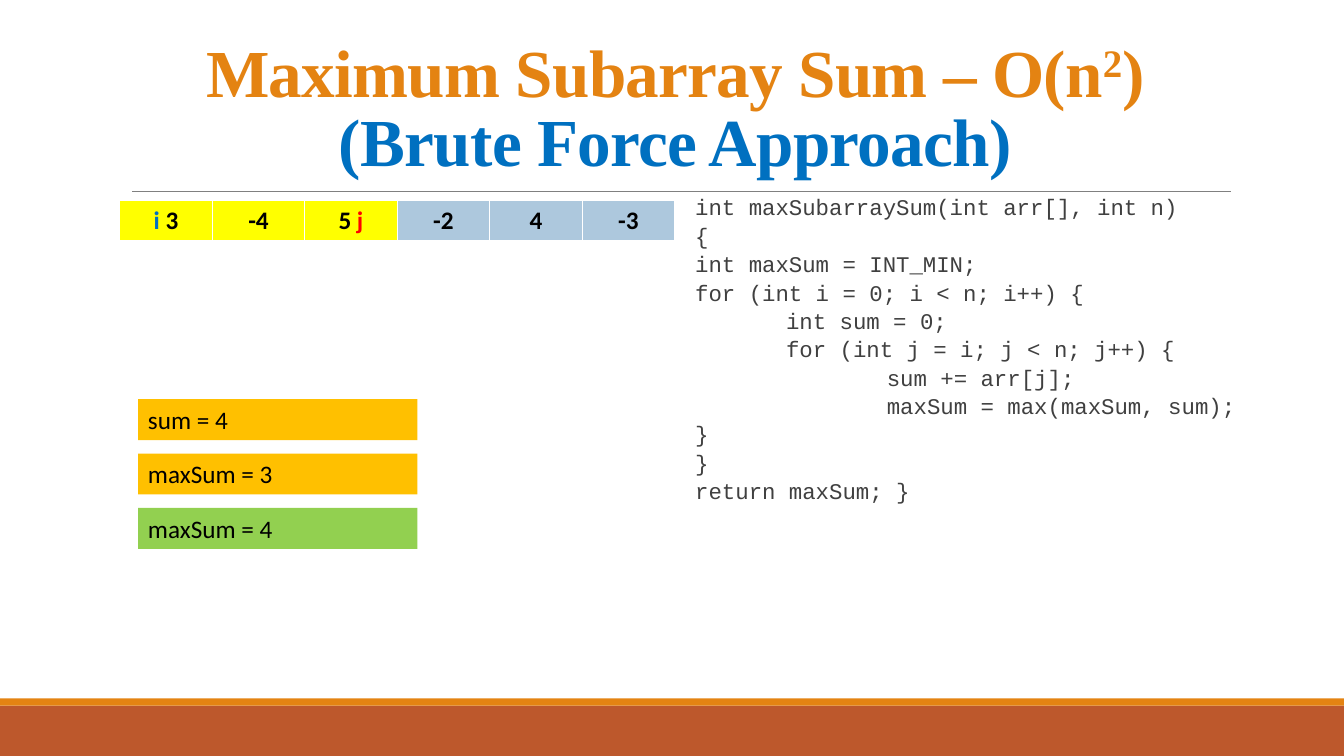
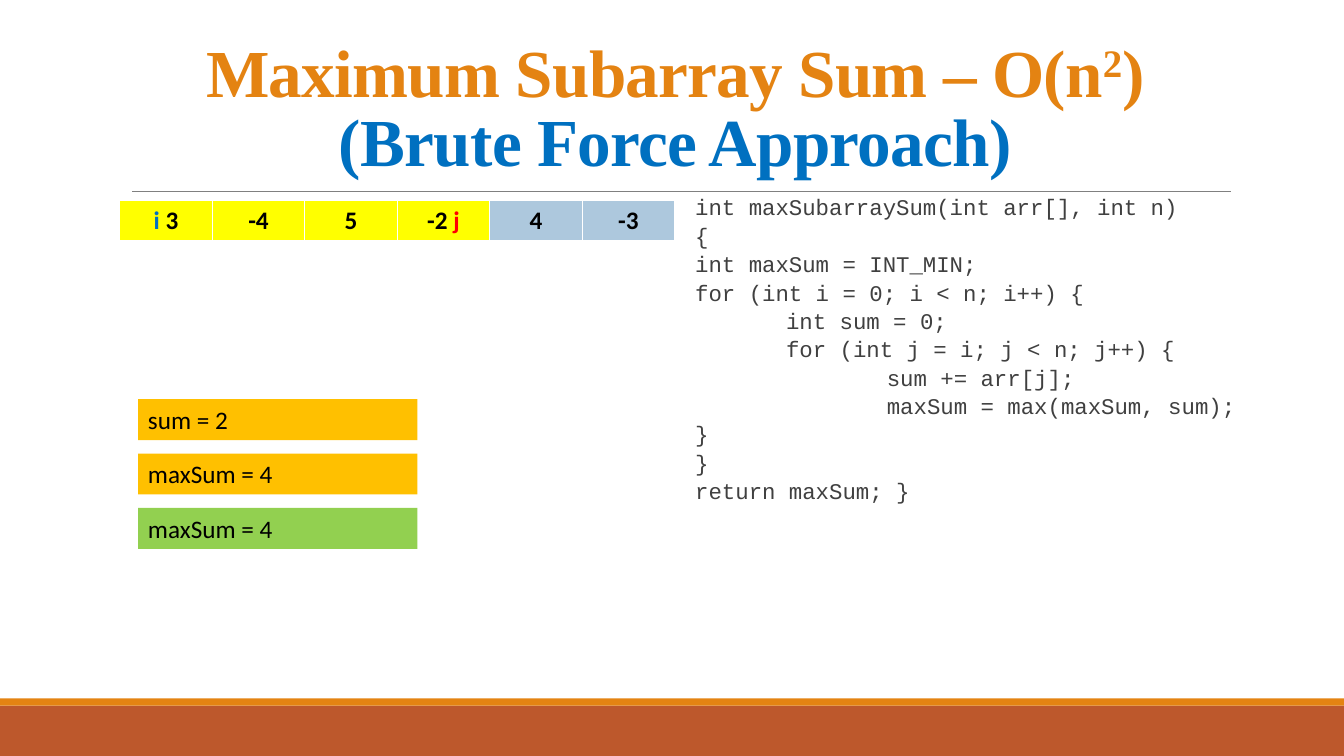
"""Builds two slides that trace the brute force maximum subarray sum."""
import pptx
import pptx.dml.color
import pptx.enum.shapes
import pptx.enum.text
import pptx.oxml
import pptx.oxml.ns
import pptx.util
from lxml import etree

Cm = pptx.util.Cm
Pt = pptx.util.Pt
qn = pptx.oxml.ns.qn
PP_ALIGN = pptx.enum.text.PP_ALIGN
MSO_ANCHOR = pptx.enum.text.MSO_ANCHOR

ORANGE, RUST, BLUE, RED = "E48312", "BD582C", "0070C0", "FF0000"
YELLOW, PALE_BLUE, AMBER, GREEN = "FFFF00", "ADC8DD", "FFC000", "92D050"
BLACK, DARK_GREY, GREY, WHITE = "000000", "404040", "808080", "FFFFFF"

SLIDE_WIDTH, SLIDE_HEIGHT = Cm(33.87), Cm(19.05)
CELL_WIDTH, CELL_HEIGHT = Cm(2.33), Cm(1.03)
BORDERS = {"a:lnL": 1, "a:lnR": 1, "a:lnT": 1, "a:lnB": 3}
TAB_STOPS = [Cm(2.29), Cm(4.83)]

ARRAY = [3, -4, 5, -2, 4, -3]
STEPS = [
    {"j": 2, "sum": 4, "before": 3, "after": 4},
    {"j": 3, "sum": 2, "before": 4, "after": 4},
]
CODE = """int maxSubarraySum(int arr[], int n)
{
int maxSum = INT_MIN;
for (int i = 0; i < n; i++) {
\tint sum = 0;
\tfor (int j = i; j < n; j++) {
\t\tsum += arr[j];
\t\tmaxSum = max(maxSum, sum);
}
}
return maxSum; }"""


def rgb(value):
    return pptx.dml.color.RGBColor.from_string(value)


def add_block(slide, left, top, width, height, fill):
    block = slide.shapes.add_shape(
        pptx.enum.shapes.MSO_SHAPE.RECTANGLE, left, top, width, height)
    block.shadow.inherit = False
    block.fill.solid()
    block.fill.fore_color.rgb = rgb(fill)
    block.line.fill.background()
    return block


deck = pptx.Presentation()
deck.slide_width, deck.slide_height = SLIDE_WIDTH, SLIDE_HEIGHT

for step in STEPS:
    slide = deck.slides.add_slide(deck.slide_layouts[6])

    add_block(slide, 0, Cm(17.78), SLIDE_WIDTH, Cm(1.27), RUST)
    add_block(slide, 0, Cm(17.6), SLIDE_WIDTH, Cm(0.18), ORANGE)
    title_rule = slide.shapes.add_connector(
        pptx.enum.shapes.MSO_CONNECTOR.STRAIGHT, Cm(3.33), Cm(4.83), Cm(31.01), Cm(4.83))
    title_rule.line.color.rgb = rgb(GREY)
    title_rule.line.width = Pt(0.5)
    etree.SubElement(title_rule._element.spPr, qn("a:effectLst"))

    title = slide.shapes.add_textbox(Cm(3.05), Cm(0.79), Cm(27.94), Cm(4.04)).text_frame
    title.word_wrap = True
    title.vertical_anchor = MSO_ANCHOR.MIDDLE
    heading = title.paragraphs[0]
    heading.alignment = PP_ALIGN.CENTER
    heading.line_spacing = 0.85
    heading.font.name = "Times New Roman"
    heading.font.size = Pt(48)
    heading.font.bold = True
    for text, color, baseline in [
        ("Maximum Subarray Sum – O(n", ORANGE, 0),
        ("2", ORANGE, 30000),
        (")", ORANGE, 0),
        ("(Brute Force Approach)", BLUE, 0),
    ]:
        if color == BLUE:
            heading.add_line_break()
        run = heading.add_run()
        run.text = text
        run.font.color.rgb = rgb(color)
        run.font._element.set("spc", "-50")
        if baseline:
            run.font._element.set("baseline", str(baseline))

    array = slide.shapes.add_table(
        1, len(ARRAY), Cm(3.02), Cm(5.06), CELL_WIDTH * len(ARRAY), CELL_HEIGHT).table
    array.first_row = False
    array.horz_banding = False
    array.rows[0].height = CELL_HEIGHT
    for index, number in enumerate(ARRAY):
        array.columns[index].width = CELL_WIDTH
        cell = array.cell(0, index)
        cell.vertical_anchor = MSO_ANCHOR.MIDDLE
        for tag, points in BORDERS.items():
            border = etree.SubElement(
                cell._tc.get_or_add_tcPr(), qn(tag), w=str(Pt(points)))
            border_fill = etree.SubElement(border, qn("a:solidFill"))
            etree.SubElement(border_fill, qn("a:srgbClr"), val=WHITE)
        cell.fill.solid()
        cell.fill.fore_color.rgb = rgb(YELLOW if index <= step["j"] else PALE_BLUE)

        entry = cell.text_frame.paragraphs[0]
        entry.alignment = PP_ALIGN.CENTER
        entry.font.name = "Calibri"
        entry.font.size = Pt(18)
        entry.font.bold = True
        parts = [(str(number), BLACK)]
        if index == 0:
            parts.insert(0, ("i ", BLUE))
        if index == step["j"]:
            parts.append((" j", RED))
        for text, color in parts:
            run = entry.add_run()
            run.text = text
            run.font.color.rgb = rgb(color)

    listing = slide.shapes.add_textbox(Cm(17.27), Cm(4.83), Cm(15.98), Cm(11.48)).text_frame
    listing.word_wrap = True
    listing.margin_left, listing.margin_right = Cm(0.25), 0
    for number, code_line in enumerate(CODE.split("\n")):
        line = listing.add_paragraph() if number else listing.paragraphs[0]
        line.text = code_line
        line.line_spacing = 0.9
        line.space_after = Pt(3)
        tabs = etree.SubElement(line._p.get_or_add_pPr(), qn("a:tabLst"))
        for stop in TAB_STOPS:
            etree.SubElement(tabs, qn("a:tab"), pos=str(stop), algn="l")
        line.font.name = "Courier New"
        line.font.size = Pt(16)
        line.font.color.rgb = rgb(DARK_GREY)

    for row, (text, fill) in enumerate([
        (f"sum = {step['sum']}", AMBER),
        (f"maxSum = {step['before']}", AMBER),
        (f"maxSum = {step['after']}", GREEN),
    ]):
        state = add_block(
            slide, Cm(3.48), Cm(10.06 + 1.37 * row), Cm(7.04), Cm(1.03), fill).text_frame
        state.word_wrap = True
        state.auto_size = pptx.enum.text.MSO_AUTO_SIZE.SHAPE_TO_FIT_TEXT
        state.vertical_anchor = MSO_ANCHOR.TOP
        variable = state.paragraphs[0]
        variable.text = text
        variable.alignment = PP_ALIGN.LEFT
        variable.font.name = "Calibri"
        variable.font.size = Pt(18)
        variable.font.color.rgb = rgb(BLACK)

deck.save("out.pptx")
